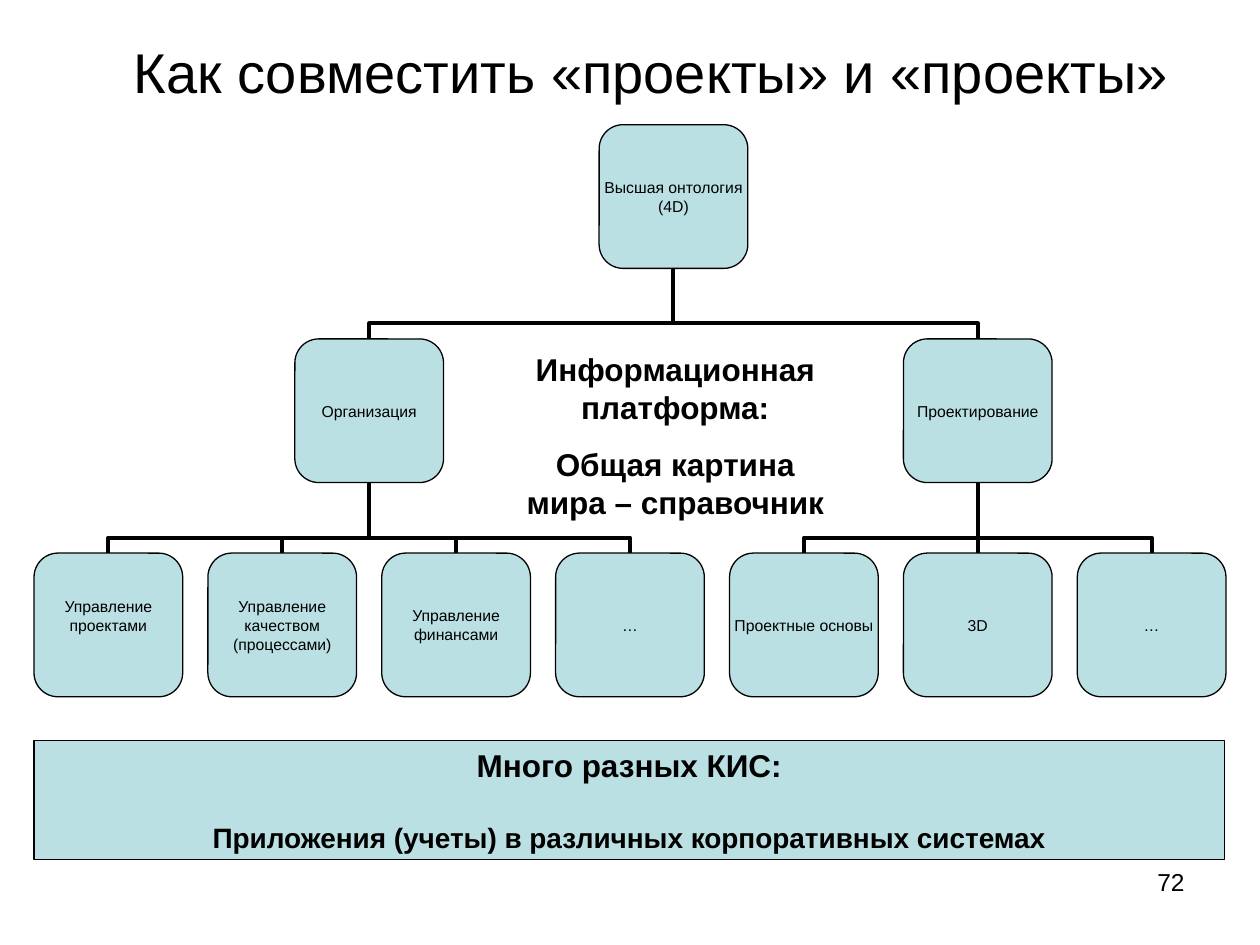
from pptx import Presentation
from pptx.dml.color import RGBColor
from pptx.enum.shapes import MSO_CONNECTOR as Link, MSO_SHAPE as Shape
from pptx.enum.text import MSO_ANCHOR as Anchor, PP_ALIGN as Align
from pptx.oxml.ns import qn
from pptx.util import Inches, Pt
from lxml import etree

BLACK = RGBColor(0x00, 0x00, 0x00)
AQUA = RGBColor(0xBB, 0xE0, 0xE3)
FONT = "Arial"

TITLE = "Как совместить «проекты» и «проекты»"
ROOT = ["Высшая онтология", "(4D)"]
BRANCHES = [
    (["Организация"], [
        ["Управление", "проектами"],
        ["Управление", "качеством", "(процессами)"],
        ["Управление", "финансами"],
        ["…"],
    ]),
    (["Проектирование"], [["Проектные основы"], ["3D"], ["…"]]),
]
PLATFORM = ["Информационная платформа:", "Общая картина мира – справочник"]
SYSTEMS = ["Много разных КИС:", "Приложения (учеты) в различных корпоративных системах"]
PAGE_NUMBER = "72"

LEFT, TOP = 0.27, 0.99
NODE_W, NODE_H = 1.18, 1.14
COLUMN_STEP, ROW_STEP = 1.38, 1.7
RAISED_INSET = 0.15
BEND = 21900


def write(shape, lines, sizes, bold=False, align=Align.CENTER, anchor=Anchor.MIDDLE,
          wrap=True, insets=(0.1, 0.05), gap=0):
    frame = shape.text_frame
    frame.word_wrap = wrap
    frame.vertical_anchor = anchor
    frame.margin_left = frame.margin_right = Inches(insets[0])
    frame.margin_top = frame.margin_bottom = Inches(insets[1])
    for index, (line, size) in enumerate(zip(lines, sizes)):
        para = frame.add_paragraph() if index else frame.paragraphs[0]
        para.alignment = align
        if index and gap:
            para.space_before = Pt(gap)
        span = para.add_run()
        span.text = line
        span.font.name = FONT
        span.font.size = Pt(size)
        span.font.bold = bold
        span.font.color.rgb = BLACK
    return frame


def add_box(page, kind, left, top, width, height):
    box = page.shapes.add_shape(kind, Inches(left), Inches(top), Inches(width), Inches(height))
    box.shadow.inherit = False
    box.fill.solid()
    box.fill.fore_color.rgb = AQUA
    box.line.color.rgb = BLACK
    box.line.width = Pt(0.75)
    return box


def add_node(page, lines, column, row):
    node = add_box(page, Shape.ROUNDED_RECTANGLE, LEFT + COLUMN_STEP * column,
                   TOP + ROW_STEP * row, NODE_W, NODE_H)
    write(node, lines, [9] * len(lines), wrap=False, insets=(0, 0))
    return node


def join(page, child, parent):
    start_x, end_x = (node.left + node.width // 2 for node in (child, parent))
    start_y, end_y = child.top, parent.top + parent.height
    straight = abs(start_x - end_x) < Inches(0.01)
    kind = Link.STRAIGHT if straight else Link.ELBOW
    link = page.shapes.add_connector(kind, start_x, start_y, end_x, end_y)
    link.begin_connect(child, 0)
    link.end_connect(parent, 2)
    link.line.color.rgb = BLACK
    link.line.width = Pt(2.25)
    props = link._element.spPr
    etree.SubElement(props, qn("a:effectLst"))
    if straight:
        return
    rise, reach = start_y - end_y, abs(start_x - end_x)
    link.left = (start_x + end_x - rise) // 2
    link.top = (start_y + end_y - reach) // 2
    link.width, link.height = rise, reach
    frame = props.find(qn("a:xfrm"))
    to_left = start_x > end_x
    frame.set("rot", str((270 if to_left else 90) * 60000))
    frame.set("flipH", "0" if to_left else "1")
    frame.set("flipV", "1")
    guides = props.find(qn("a:prstGeom")).find(qn("a:avLst"))
    etree.SubElement(guides, qn("a:gd"), name="adj1", fmla=f"val {BEND}")


def add_label(page, left, top, width, height, lines, size, **style):
    label = page.shapes.add_textbox(Inches(left), Inches(top), Inches(width), Inches(height))
    write(label, lines, [size] * len(lines), **style)


def add_tree(page):
    links = []
    branch_columns = []
    branch_nodes = []
    first = 0
    for name, leaves in BRANCHES:
        middle = first + (len(leaves) - 1) / 2
        branch = add_node(page, name, middle, 1)
        branch_columns.append(middle)
        branch_nodes.append(branch)
        for column, lines in enumerate(leaves, first):
            leaf = add_node(page, lines, column, 2)
            if column == 0:
                leaf.text_frame.margin_bottom = Inches(RAISED_INSET)
            links.append((leaf, branch))
        first += len(leaves)
    root = add_node(page, ROOT, sum(branch_columns) / len(branch_columns), 0)
    links += [(branch, root) for branch in branch_nodes]
    for child, parent in links:
        join(page, child, parent)


def main():
    deck = Presentation()
    deck.slide_width, deck.slide_height = Inches(10), Inches(7.5)
    page = deck.slides.add_slide(deck.slide_layouts[6])
    add_label(page, 0.67, 0.21, 9, 0.71, [TITLE], 32)
    add_tree(page)
    bar = add_box(page, Shape.RECTANGLE, LEFT, 5.88, 9.45, 0.94)
    write(bar, SYSTEMS, [18, 16], bold=True, wrap=False, gap=21)
    add_label(page, 4.06, 2.73, 2.6, 1.46, PLATFORM, 18, bold=True, anchor=Anchor.TOP, gap=11.2)
    add_label(page, 7.17, 6.83, 2.33, 0.52, [PAGE_NUMBER], 14, align=Align.RIGHT, anchor=Anchor.TOP)
    deck.save("out.pptx")


if __name__ == "__main__":
    main()
